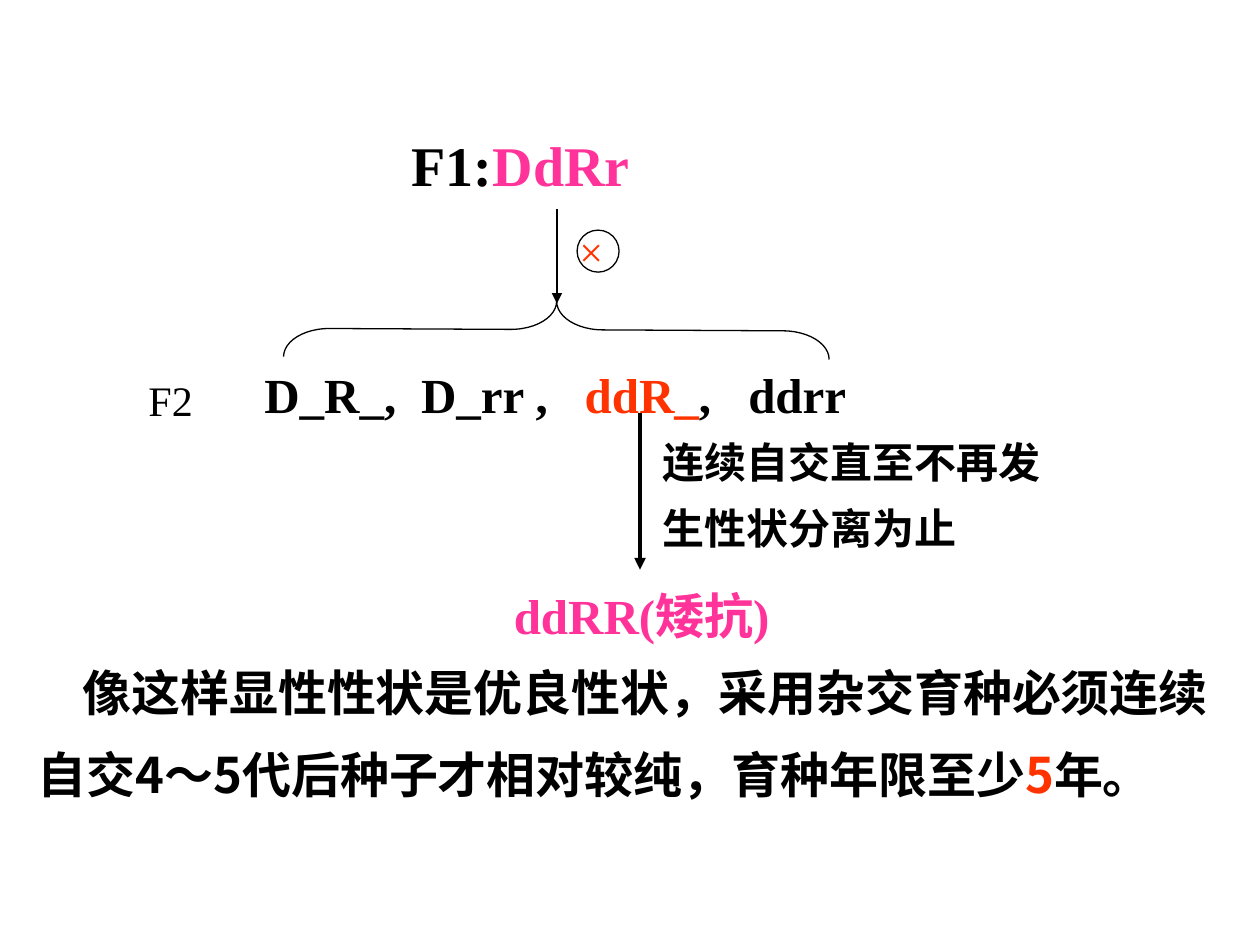
from dataclasses import dataclass

from lxml import etree
from pptx import Presentation
from pptx.dml.color import RGBColor
from pptx.enum.shapes import MSO_CONNECTOR, MSO_SHAPE
from pptx.oxml.ns import qn
from pptx.util import Pt

STRAIGHT = MSO_CONNECTOR.STRAIGHT
LEFT_BRACE = MSO_SHAPE.LEFT_BRACE
OVAL = MSO_SHAPE.OVAL


@dataclass(frozen=True)
class Theme:
    black: str = "000000"
    pink: str = "FF3399"
    red: str = "FF3300"
    title: int = 32
    large: int = 28
    normal: int = 24
    serif: str = "Times New Roman"
    sans: str = "Noto Sans CJK SC"
    thin: float = 0.75
    thick: float = 2.25


class SlideBuilder:
    def __init__(self, page, theme):
        self.page = page
        self.theme = theme

    def text(self, left, top, width, height, spans, size, bold=True, font=None,
             spacing=None, indent=0, tabs=(), wrap=True):
        """Add a one-paragraph box; spans is a list of (words, colour)."""
        box = self.page.shapes.add_textbox(Pt(left), Pt(top), Pt(width), Pt(height))
        box.text_frame.word_wrap = wrap
        para = box.text_frame.paragraphs[0]
        if spacing:
            para.line_spacing = spacing
        properties = para._p.get_or_add_pPr()
        if indent:
            properties.set("indent", str(Pt(indent)))
        if tabs:
            tab_list = etree.SubElement(properties, qn("a:tabLst"))
            for position in tabs:
                etree.SubElement(tab_list, qn("a:tab"), pos=str(Pt(position)), algn="l")
        para.font.name = font or self.theme.serif
        para.font.size = Pt(size)
        para.font.bold = bold
        for words, colour in spans:
            span = para.add_run()
            span.text = words
            span.font.color.rgb = RGBColor.from_string(colour)

    def outline(self, kind, left, top, width, height):
        shape = self.page.shapes.add_shape(kind, Pt(left), Pt(top), Pt(width), Pt(height))
        shape.shadow.inherit = False
        shape.fill.background()
        self.stroke(shape.line, self.theme.thin)
        return shape

    def arrow(self, x, top, bottom, weight):
        """Add a downward arrow."""
        line = self.page.shapes.add_connector(STRAIGHT, Pt(x), Pt(top), Pt(x), Pt(bottom))
        self.stroke(line.line, weight)
        etree.SubElement(line.line._get_or_add_ln(), qn("a:tailEnd"), type="triangle")
        etree.SubElement(line._element.spPr, qn("a:effectLst"))

    def stroke(self, line, weight):
        line.color.rgb = RGBColor.from_string(self.theme.black)
        line.width = Pt(weight)


def main():
    theme = Theme()
    deck = Presentation()
    deck.slide_width, deck.slide_height = Pt(720), Pt(540)
    page = deck.slides.add_slide(deck.slide_layouts[6])
    build = SlideBuilder(page, theme)

    # First generation
    build.text(228.25, 71.25, 150, 45.5, [("F1:", theme.black), ("DdRr", theme.pink)],
               theme.title)

    # Brace over the second generation
    brace = build.outline(LEFT_BRACE, 301.75, 32.5, 32.5, 311.75)
    brace.rotation = 90.3
    brace.adjustments[0] = 0.81

    # Second generation
    build.text(144, 204.5, 354.25, 41,
               [("D_R_,\tD_rr ,\t", theme.black), ("ddR_", theme.red),
                (",\tddrr", theme.black)],
               theme.large, tabs=(89.5, 183, 276.5))
    build.text(77.75, 210.25, 41.75, 36, [("F2", theme.black)], theme.normal, bold=False)

    # Selfing step
    build.arrow(318.25, 119.5, 173.5, theme.thin)
    build.text(324, 125.25, 38.25, 36, [("×", theme.red)], theme.normal, bold=False,
               wrap=False)
    build.outline(OVAL, 329.75, 131.5, 24, 24)

    # Repeated selfing down to the pure line
    build.arrow(365.75, 236.25, 325.5, theme.thick)
    build.text(371.5, 237.5, 231.75, 82.75,
               [("连续自交直至不再发生性状分离为止", theme.black)], theme.normal, spacing=1.3)
    build.text(286.5, 331.25, 174.25, 41, [("ddRR(矮抗)", theme.pink)], theme.large)

    # Conclusion
    build.text(14.5, 361.5, 689, 101.5,
               [("像这样显性性状是优良性状，采用杂交育种必须连续自交4～5代后种子才相对较纯，"
                 "育种年限至少", theme.black), ("5", theme.red), ("年。", theme.black)],
               theme.large, font=theme.sans, spacing=1.4, indent=25.5)

    deck.save("out.pptx")


if __name__ == "__main__":
    main()
